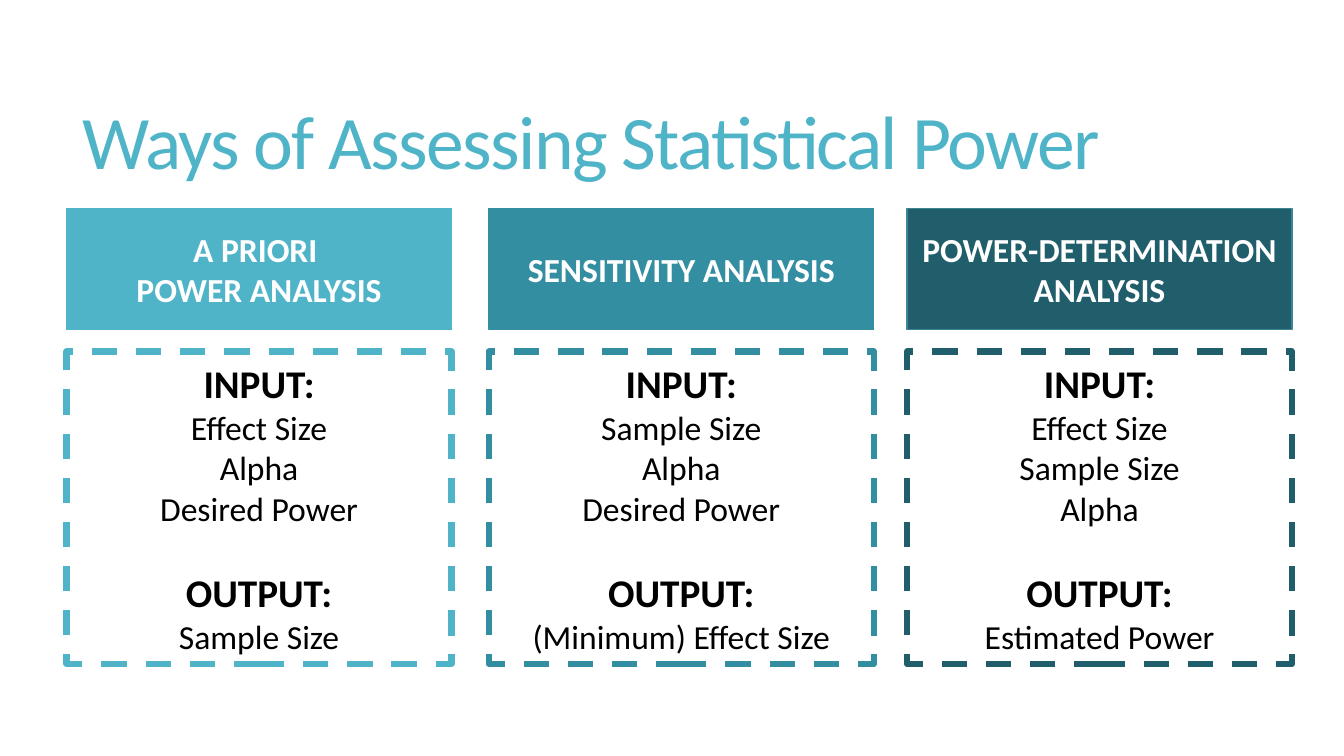
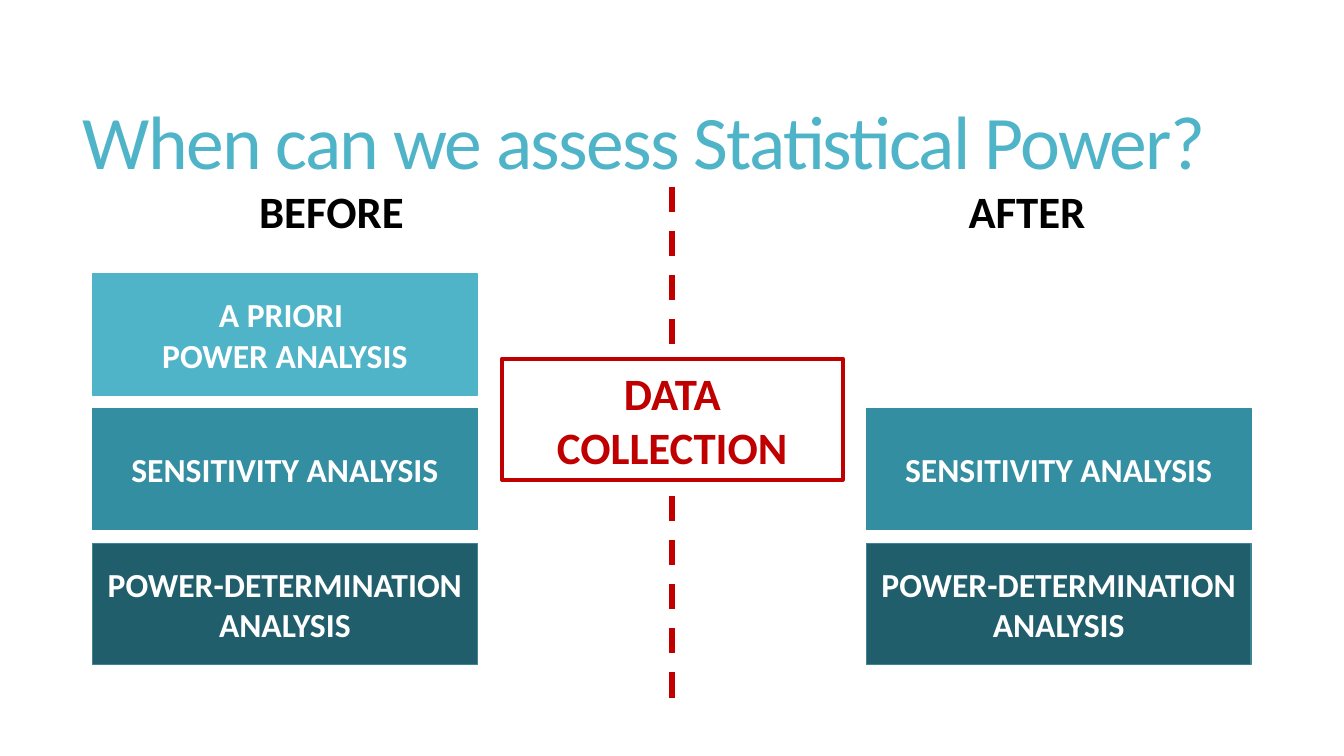
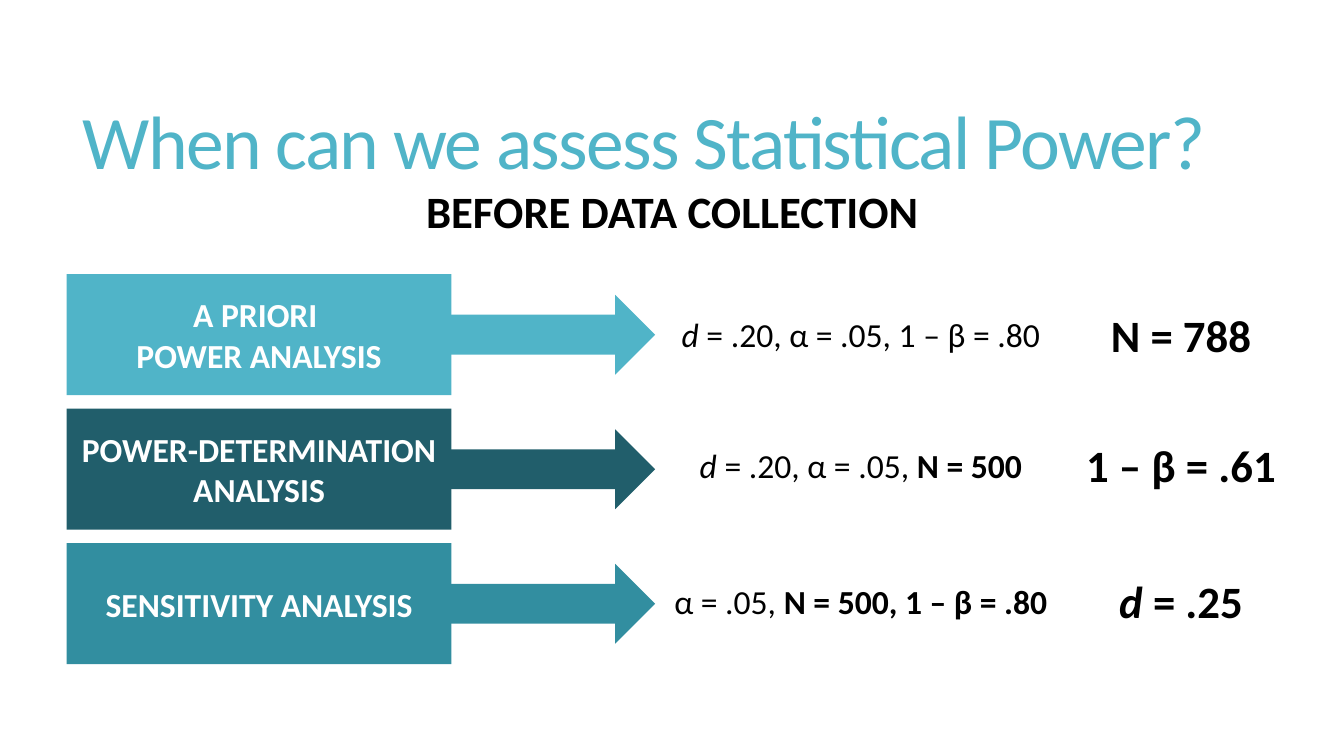
from pptx import Presentation
from pptx.dml.color import RGBColor
from pptx.enum.dml import MSO_LINE
from pptx.enum.shapes import MSO_CONNECTOR, MSO_SHAPE
from pptx.enum.text import MSO_ANCHOR, PP_ALIGN
from pptx.oxml.ns import qn
from pptx.util import Cm, Pt
from lxml import etree

RECT, ARROW = MSO_SHAPE.RECTANGLE, MSO_SHAPE.RIGHT_ARROW
STRAIGHT, DASH = MSO_CONNECTOR.STRAIGHT, MSO_LINE.DASH
CENTER, LEFT = PP_ALIGN.CENTER, PP_ALIGN.LEFT
MIDDLE = MSO_ANCHOR.MIDDLE

FONT = "Calibri"
WHITE, BLACK, RED = "FFFFFF", "000000", "C00000"
AQUA, TEAL, DEEP, DEEP_EDGE = "50B4C8", "328EA0", "215E6B", "3B8594"

BOX_W, BOX_H = 9.7, 3.05
LABEL_H = 1.22
HEADING_TOP = 4.7
ROW_TOPS = [6.91 + 3.39 * row for row in range(3)]

# Each analysis: label lines, fill, outline
PRIORI = (["A PRIORI ", "POWER ANALYSIS"], AQUA, AQUA)
SENSITIVITY = (["SENSITIVITY ANALYSIS"], TEAL, TEAL)
DETERMINATION = (["POWER-DETERMINATION ANALYSIS"], DEEP, DEEP_EDGE)

BOLD, ITALIC = {"bold": True}, {"italic": True}


def color(hex_code):
    """Turn a hex string into a colour."""
    return RGBColor.from_string(hex_code)


def write(frame, paragraphs, align=CENTER, line_spacing=None, **base):
    """Fill a frame; a paragraph is a string or a list of (text, format) runs."""
    frame.word_wrap = True
    frame.vertical_anchor = MIDDLE
    for index, runs in enumerate(paragraphs):
        paragraph = frame.paragraphs[0] if index == 0 else frame.add_paragraph()
        paragraph.alignment = align
        paragraph.line_spacing = line_spacing
        for text, changes in [(runs, {})] if isinstance(runs, str) else runs:
            style = {**base, **changes}
            run = paragraph.add_run()
            run.text = text
            run.font.name = FONT
            run.font.size = Pt(style["size"])
            run.font.color.rgb = color(style["ink"])
            run.font.bold = style.get("bold", False)
            run.font.italic = style.get("italic", False)
            if "tracking" in style:
                run.font._element.set("spc", str(style["tracking"]))
            if "before" in style:
                paragraph.space_before = Pt(style["before"])


class Deck:
    """Holds the presentation, its style and the current slide."""

    def __init__(self):
        """Start an empty widescreen presentation."""
        self.show = Presentation()
        self.show.slide_width, self.show.slide_height = Cm(33.87), Cm(19.05)
        self.slide = None

    def new_slide(self, title):
        """Add a blank slide with the shared title."""
        self.slide = self.show.slides.add_slide(self.show.slide_layouts[6])
        heading = self.slide.shapes.add_textbox(Cm(1.83), Cm(1.4), Cm(29.92), Cm(4.6))
        write(heading.text_frame, [title], align=LEFT, line_spacing=0.85,
              size=54, ink=AQUA, tracking=-120)

    def shape(self, kind, left, top, width, height, fill, edge=None, weight=1, dash=None):
        """Draw a flat preset shape."""
        shape = self.slide.shapes.add_shape(kind, Cm(left), Cm(top), Cm(width), Cm(height))
        shape.shadow.inherit = False
        shape.fill.solid()
        shape.fill.fore_color.rgb = color(fill)
        if edge:
            shape.line.color.rgb = color(edge)
            shape.line.width = Pt(weight)
            shape.line.dash_style = dash
        else:
            shape.line.fill.background()
        return shape

    def analysis(self, kind, left, top, outlined=True):
        """Draw the coloured box naming one analysis."""
        name, fill, edge = kind
        box = self.shape(RECT, left, top, BOX_W, BOX_H, fill, edge if outlined else None)
        write(box.text_frame, name, size=24, ink=WHITE, bold=True)

    def card(self, left, edge, inputs, output):
        """Draw the dashed card listing inputs and output."""
        card = self.shape(RECT, left, 8.86, BOX_W, 7.87, WHITE, edge, 4.5, DASH)
        head = {"size": 28, "bold": True}
        lines = [[("INPUT:", head)], *inputs, [("OUTPUT:", {**head, "before": 29})], output]
        write(card.text_frame, lines, size=24, ink=BLACK)

    def label(self, runs, left, top, width, **style):
        """Draw a one-line label on white."""
        label = self.shape(RECT, left, top, width, LABEL_H, WHITE, WHITE)
        write(label.text_frame, [runs], ink=BLACK, **style)

    def divider(self, x, top, bottom):
        """Draw a dashed vertical line."""
        line = self.slide.shapes.add_connector(STRAIGHT, Cm(x), Cm(top), Cm(x), Cm(bottom))
        line.line.color.rgb = color(RED)
        line.line.width = Pt(4.5)
        line.line.dash_style = DASH
        etree.SubElement(line._element.spPr, qn("a:effectLst"))


def ways_slide(deck):
    """Compare the inputs and outputs of the three analyses."""
    deck.new_slide("Ways of Assessing Statistical Power")
    columns = [
        (1.68, PRIORI, ["Effect Size", "Alpha", "Desired Power"], "Sample Size"),
        (12.32, SENSITIVITY, ["Sample Size", "Alpha", "Desired Power"],
         "(Minimum) Effect Size"),
        (22.86, DETERMINATION, ["Effect Size", "Sample Size", "Alpha"], "Estimated Power"),
    ]
    for left, kind, inputs, output in columns:
        deck.card(left, kind[1], inputs, output)
        deck.analysis(kind, left, 5.26)


def timing_slide(deck):
    """Sort the analyses into before and after data collection."""
    deck.new_slide("When can we assess Statistical Power?")
    deck.divider(16.94, HEADING_TOP, 17.78)
    collection = deck.shape(RECT, 12.65, 9.04, 8.59, BOX_H, WHITE, RED, 3)
    write(collection.text_frame, ["DATA COLLECTION"], size=32, ink=RED, bold=True)
    sides = [
        ("BEFORE", 4.06, 2.33, [PRIORI, SENSITIVITY, DETERMINATION]),
        ("AFTER", 21.59, 21.83, [SENSITIVITY, DETERMINATION]),
    ]
    for moment, label_left, left, kinds in sides:
        deck.label(moment, label_left, HEADING_TOP, 8.59, size=32, bold=True)
        for kind, top in zip(kinds, ROW_TOPS[-len(kinds):]):
            deck.analysis(kind, left, top)


def before_slide(deck):
    """Show worked examples run before data collection."""
    deck.new_slide("When can we assess Statistical Power?")
    deck.label("BEFORE DATA COLLECTION", 9.73, HEADING_TOP, 14.43, size=32, bold=True)
    examples = [
        (PRIORI, 7.82, [("d ", ITALIC), ("= .20, α = .05, 1 – β = .80", {})], "N = 788"),
        (DETERMINATION, 11.1,
         [("d ", ITALIC), ("= .20, α = .05, ", {}), ("N = 500", BOLD)], "1 – β = .61"),
        (SENSITIVITY, 14.53, [("α = .05, ", {}), ("N = 500, 1 – β = .80", BOLD)],
         [("d", ITALIC), (" = .25", {})]),
    ]
    arrow_h = 2.01
    for top, (kind, label_top, given, result) in zip(ROW_TOPS, examples):
        deck.shape(ARROW, 11.33, top + (BOX_H - arrow_h) / 2, 5.18, arrow_h, kind[1])
        deck.analysis(kind, 1.68, top, outlined=False)
        deck.label(given, 16.69, label_top, 10.01, size=24)
        deck.label(result, 26.87, label_top, 5.79, size=32, bold=True)


deck = Deck()
ways_slide(deck)
timing_slide(deck)
before_slide(deck)
deck.show.save("out.pptx")
